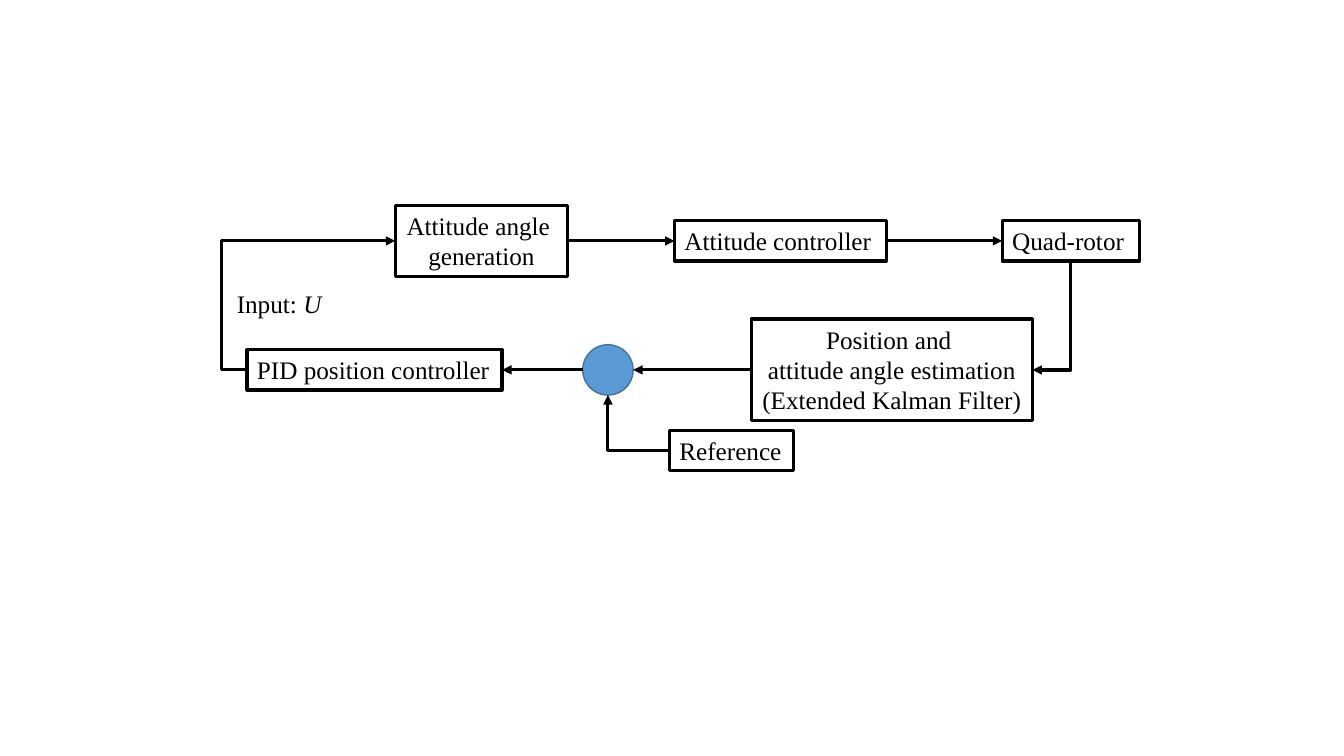
from dataclasses import dataclass
from typing import Optional

from lxml import etree
from pptx import Presentation
from pptx import util as u
from pptx.dml.color import RGBColor
from pptx.enum import shapes, text
from pptx.oxml import ns

BLACK = RGBColor(0x00, 0x00, 0x00)
JUNCTION_FILL = RGBColor(0x5B, 0x9B, 0xD5)
JUNCTION_EDGE = RGBColor(0x43, 0x73, 0x9E)
FONT = "Times New Roman"
TEXT_SIZE = u.Pt(18)
LINE_WIDTH = u.Pt(2.25)
FORWARD_Y, FEEDBACK_Y, REFERENCE_Y = 2.39, 3.67, 4.47


@dataclass(frozen=True)
class Block:
    lines: tuple[str, ...]
    left: float
    center_y: float
    width: float
    height: float = 0.4

    @property
    def top(self) -> float:
        return self.center_y - self.height / 2

    @property
    def right(self) -> float:
        return self.left + self.width

    @property
    def bottom(self) -> float:
        return self.top + self.height

    @property
    def center_x(self) -> float:
        return self.left + self.width / 2


@dataclass(frozen=True)
class Signal:
    """An arrow; a bend is a preset connector, its offset a share of the width."""
    start: tuple[float, float]
    end: tuple[float, float]
    bend: Optional[str] = None
    offset: Optional[float] = None
    down_first: bool = False


ANGLE = Block(("Attitude angle ", "generation"), 3.92, FORWARD_Y, 1.71, 0.71)
POSITION = Block(("PID position controller",), 2.45, FEEDBACK_Y, 2.53)
ATTITUDE = Block(("Attitude controller",), 6.69, FORWARD_Y, 2.1)
ROTOR = Block(("Quad-rotor",), 9.94, FORWARD_Y, 1.36)
ESTIMATION = Block(
    ("Position and ", "attitude angle estimation", "(Extended Kalman Filter)"),
    7.45, FEEDBACK_Y, 2.79, 1.01)
REFERENCE = Block(("Reference",), 6.64, REFERENCE_Y, 1.23)
JUNCTION = Block((), 5.78, FEEDBACK_Y, 0.5, 0.5)
INPUT_LABEL = Block(("Input: ",), 2.25, 3.01, 1.05)

BLOCKS = (ANGLE, POSITION, ATTITUDE, ROTOR, ESTIMATION, REFERENCE)
SIGNALS = (
    Signal((ESTIMATION.left, FEEDBACK_Y), (JUNCTION.right, FEEDBACK_Y)),
    Signal((REFERENCE.left, REFERENCE_Y), (JUNCTION.center_x, JUNCTION.bottom),
           "bentConnector2"),
    Signal((JUNCTION.left, FEEDBACK_Y), (POSITION.right, FEEDBACK_Y)),
    Signal((POSITION.left, FEEDBACK_Y), (ANGLE.left, FORWARD_Y),
           "bentConnector3", offset=-0.17),
    Signal((ANGLE.right, FORWARD_Y), (ATTITUDE.left, FORWARD_Y)),
    Signal((ROTOR.center_x, ROTOR.bottom), (ESTIMATION.right, FEEDBACK_Y),
           "bentConnector2", down_first=True),
    Signal((ATTITUDE.right, FORWARD_Y), (ROTOR.left, FORWARD_Y)),
)


def frame(block: Block) -> list[u.Length]:
    return [u.Inches(v) for v in (block.left, block.top, block.width, block.height)]


def add_block(slide, block: Block):
    box = slide.shapes.add_textbox(*frame(block))
    content = box.text_frame
    content.word_wrap = False
    content.auto_size = text.MSO_AUTO_SIZE.SHAPE_TO_FIT_TEXT
    content.text = "\n".join(block.lines)
    for paragraph in content.paragraphs:
        if len(block.lines) > 1:
            paragraph.alignment = text.PP_ALIGN.CENTER
        paragraph.font.name = FONT
        paragraph.font.size = TEXT_SIZE
        paragraph.font.color.rgb = BLACK
    return box


def add_junction(slide) -> None:
    circle = slide.shapes.add_shape(shapes.MSO_SHAPE.OVAL, *frame(JUNCTION))
    circle.shadow.inherit = False
    circle.fill.solid()
    circle.fill.fore_color.rgb = JUNCTION_FILL
    circle.line.color.rgb = JUNCTION_EDGE
    circle.line.width = u.Pt(1)


def add_signal(slide, signal: Signal) -> None:
    (x1, y1), (x2, y2) = signal.start, signal.end
    if signal.down_first:
        # A quarter turn swaps the sides of the frame about its centre.
        mid_x, mid_y = (x1 + x2) / 2, (y1 + y2) / 2
        half_w, half_h = abs(y2 - y1) / 2, abs(x2 - x1) / 2
        x1, x2 = mid_x - half_w, mid_x + half_w
        y1, y2 = mid_y - half_h, mid_y + half_h
    kind = shapes.MSO_CONNECTOR.ELBOW if signal.bend else shapes.MSO_CONNECTOR.STRAIGHT
    arrow = slide.shapes.add_connector(kind, *(u.Inches(v) for v in (x1, y1, x2, y2)))
    arrow.line.color.rgb = BLACK
    arrow.line.width = LINE_WIDTH
    properties = arrow.element.spPr
    etree.SubElement(properties.find(ns.qn("a:ln")), ns.qn("a:tailEnd"), type="triangle")
    etree.SubElement(properties, ns.qn("a:effectLst"))
    if signal.down_first:
        properties.find(ns.qn("a:xfrm")).set("rot", "5400000")
    if signal.bend:
        geometry = properties.find(ns.qn("a:prstGeom"))
        geometry.set("prst", signal.bend)
        if signal.offset is not None:
            etree.SubElement(geometry.find(ns.qn("a:avLst")), ns.qn("a:gd"),
                             name="adj1", fmla=f"val {round(signal.offset * 100000)}")


def main() -> None:
    deck = Presentation()
    deck.slide_width, deck.slide_height = u.Inches(13.33), u.Inches(7.5)
    slide = deck.slides.add_slide(deck.slide_layouts[6])
    for block in BLOCKS:
        box = add_block(slide, block)
        box.line.color.rgb = BLACK
        box.line.width = LINE_WIDTH
    add_junction(slide)
    for signal in SIGNALS:
        add_signal(slide, signal)
    label = add_block(slide, INPUT_LABEL)
    symbol = label.text_frame.paragraphs[0].add_run()
    symbol.text = "U"
    symbol.font.italic = True
    deck.save("out.pptx")


if __name__ == "__main__":
    main()
